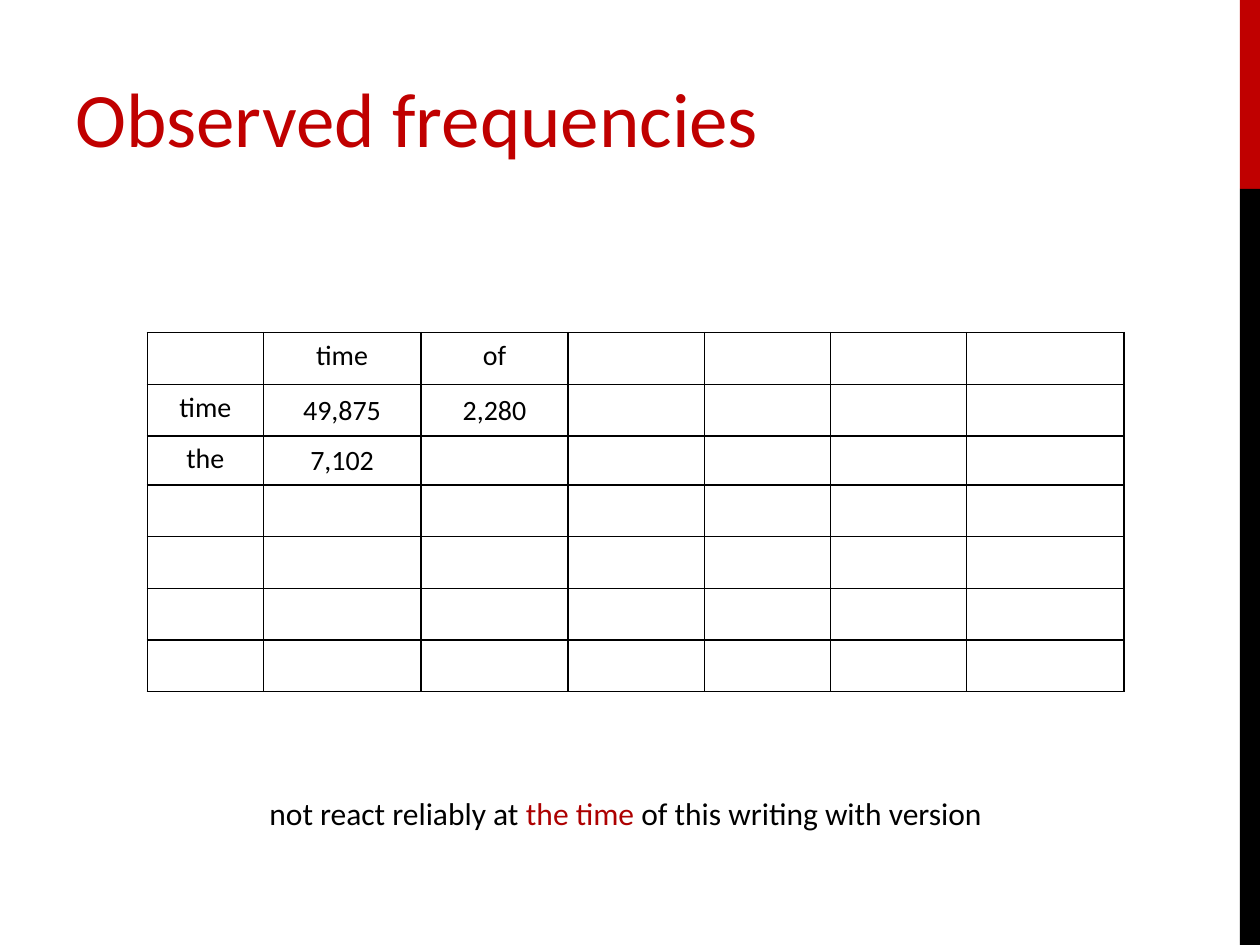
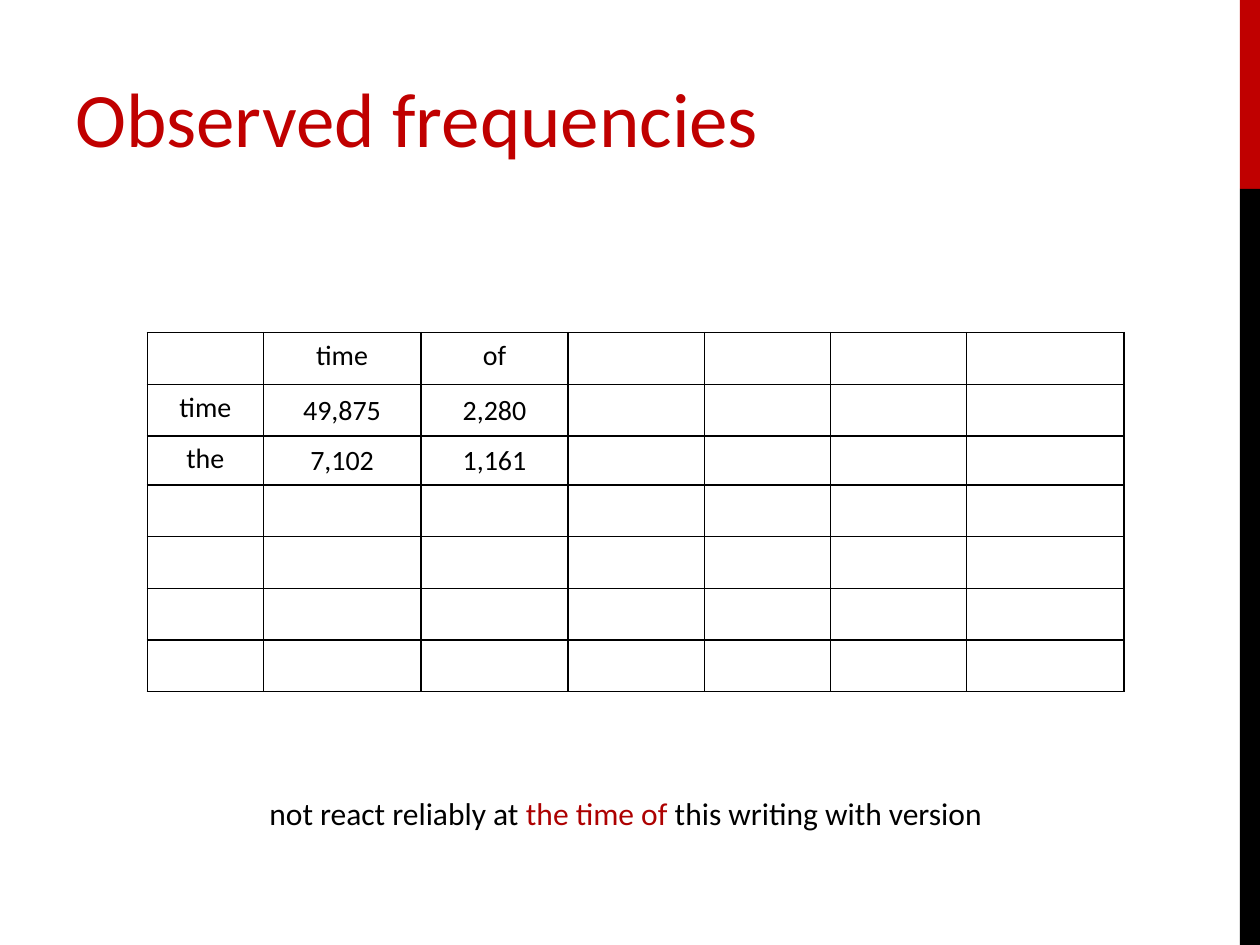
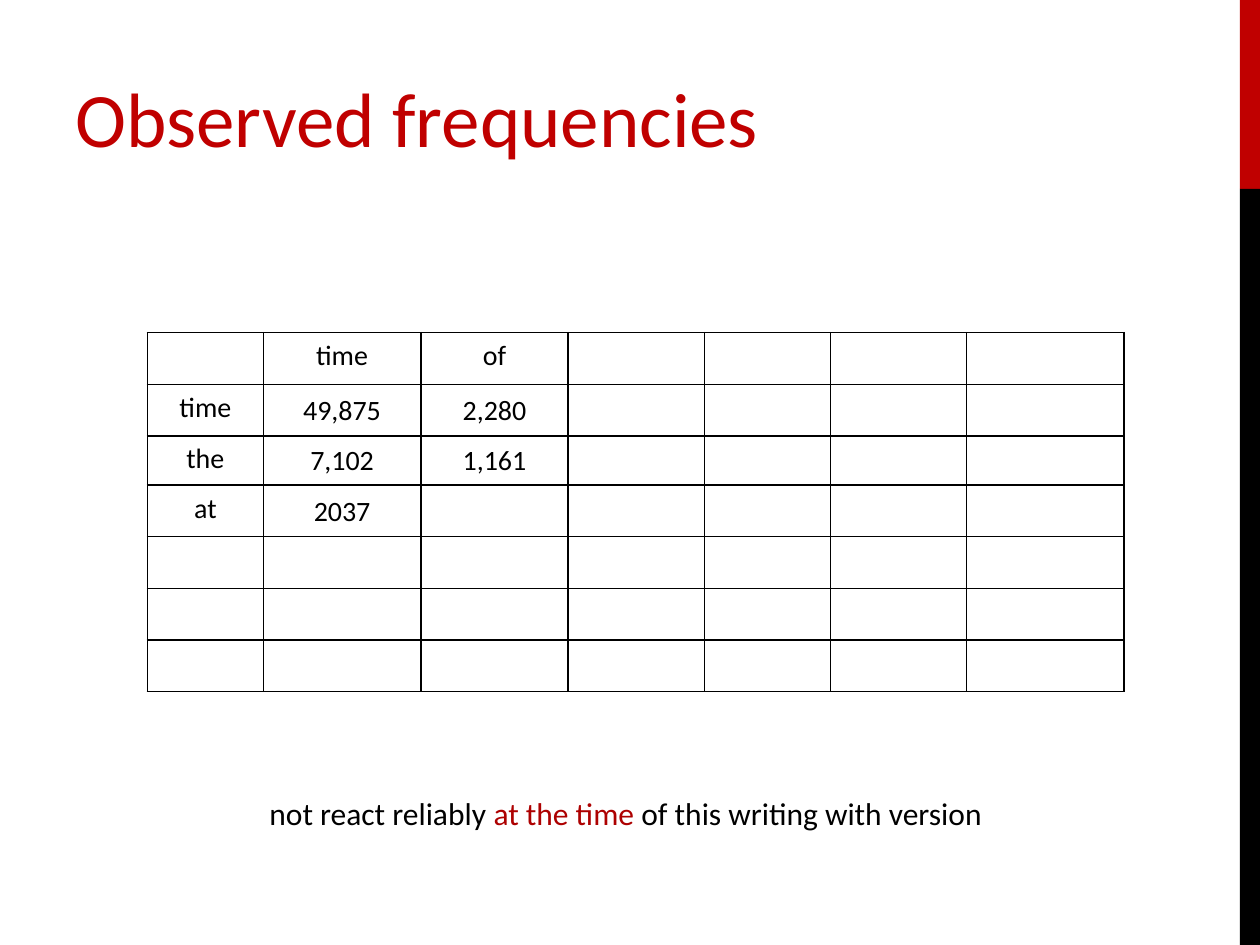
from lxml import etree
from pptx import Presentation
from pptx import util as u
from pptx.dml import color
from pptx.enum import shapes, text
from pptx.oxml import ns

FONT = "Calibri"
RED, DARK_RED, BLACK, WHITE = "C00000", "AD0101", "000000", "FFFFFF"
BANDS = [(0, 1.5, RED), (1.5, 6, BLACK)]
COLUMN_WIDTHS = [0.92, 1.25, 1.17, 1.08, 1, 1.08, 1.25]
ROW_HEIGHTS = [0.41, 0.41, 0.39, 0.41, 0.41, 0.41, 0.41]
HEADER = ["", "time", "of"]
TIME_ROW = ["time", "49,875", "2,280"]
THE_ROW = ["the", "7,102", "1,161"]

SLIDES = [
    ([HEADER, TIME_ROW, THE_ROW[:2]],
     ["not react reliably at ", "the time ", "of this writing with version"]),
    ([HEADER, TIME_ROW, THE_ROW],
     ["not react reliably at ", "the time of ", "this writing with version"]),
    ([HEADER, TIME_ROW, THE_ROW, ["at", "2037"]],
     ["not react reliably ", "at the time ", "of this writing with version"]),
]


def rgb(value):
    return color.RGBColor.from_string(value)


def add_text(page, left, top, width, height, size, spans):
    box = page.shapes.add_textbox(
        u.Inches(left), u.Inches(top), u.Inches(width), u.Inches(height))
    box.text_frame.word_wrap = True
    para = box.text_frame.paragraphs[0]
    para.font.name = FONT
    para.font.size = u.Pt(size)
    for wording, shade in spans:
        span = para.add_run()
        span.text = wording
        span.font.color.rgb = rgb(shade)
    return box


deck = Presentation()
deck.slide_width = u.Inches(10)
deck.slide_height = u.Inches(7.5)

for rows, sentence in SLIDES:
    page = deck.slides.add_slide(deck.slide_layouts[6])
    page.background.fill.solid()
    page.background.fill.fore_color.rgb = rgb(WHITE)

    for top, height, shade in BANDS:
        band = page.shapes.add_shape(
            shapes.MSO_SHAPE.RECTANGLE, u.Inches(9.84), u.Inches(top),
            u.Inches(0.16), u.Inches(height))
        band.shadow.inherit = False
        band.fill.solid()
        band.fill.fore_color.rgb = rgb(shade)
        band.line.fill.background()

    title = add_text(page, 0.5, 0.3, 7.96, 1.25, 44, [("Observed frequencies", RED)])
    title.text_frame.vertical_anchor = text.MSO_ANCHOR.MIDDLE

    table = page.shapes.add_table(
        len(ROW_HEIGHTS), len(COLUMN_WIDTHS), u.Inches(1.17), u.Inches(2.64),
        u.Inches(sum(COLUMN_WIDTHS)), u.Inches(sum(ROW_HEIGHTS))).table
    table.first_row = False
    table.horz_banding = False
    for column, width in zip(table.columns, COLUMN_WIDTHS):
        column.width = u.Inches(width)
    for row, height in zip(table.rows, ROW_HEIGHTS):
        row.height = u.Inches(height)

    for cell in table.iter_cells():
        properties = cell._tc.get_or_add_tcPr()
        for side in ("a:lnL", "a:lnR", "a:lnT", "a:lnB"):
            border = etree.SubElement(properties, ns.qn(side), w=str(u.Pt(1)))
            fill = etree.SubElement(border, ns.qn("a:solidFill"))
            etree.SubElement(fill, ns.qn("a:srgbClr"), val=BLACK)
        cell.fill.background()
        cell.margin_top = cell.margin_bottom = u.Inches(0.04)
        para = cell.text_frame.paragraphs[0]
        para.alignment = text.PP_ALIGN.CENTER
        para.font.name = FONT
        para.font.size = u.Pt(16)
        para.font.color.rgb = rgb(BLACK)

    for row_index, values in enumerate(rows):
        for column_index, value in enumerate(values):
            cell = table.cell(row_index, column_index)
            cell.text_frame.paragraphs[0].add_run().text = value
            cell.margin_top = cell.margin_bottom = u.Inches(0.05)
            if row_index and column_index:
                cell.vertical_anchor = text.MSO_ANCHOR.MIDDLE
                cell.margin_left = cell.margin_right = cell.margin_top = u.Inches(0.01)
                cell.margin_bottom = 0

    caption = add_text(page, 2.04, 6.25, 6, 0.4, 18,
                       zip(sentence, [BLACK, DARK_RED, BLACK]))
    caption.text_frame.auto_size = text.MSO_AUTO_SIZE.SHAPE_TO_FIT_TEXT

deck.save("out.pptx")
